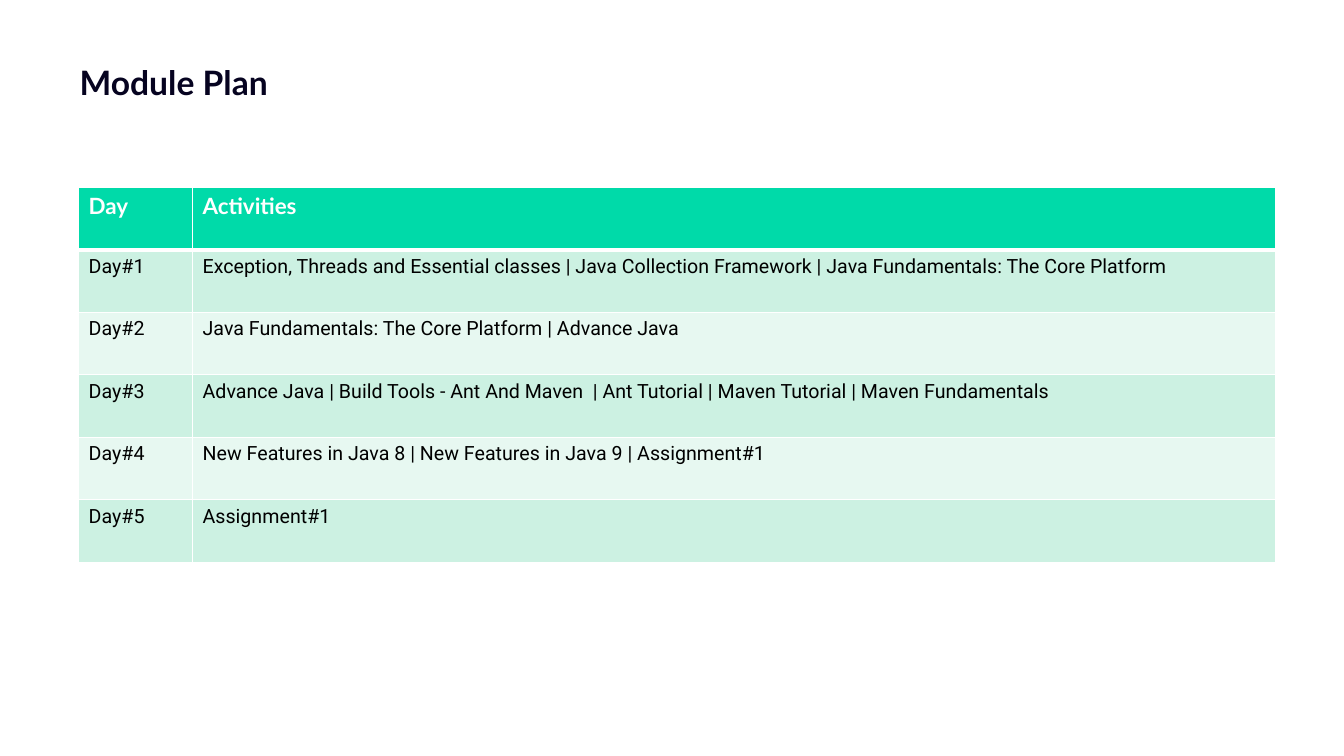
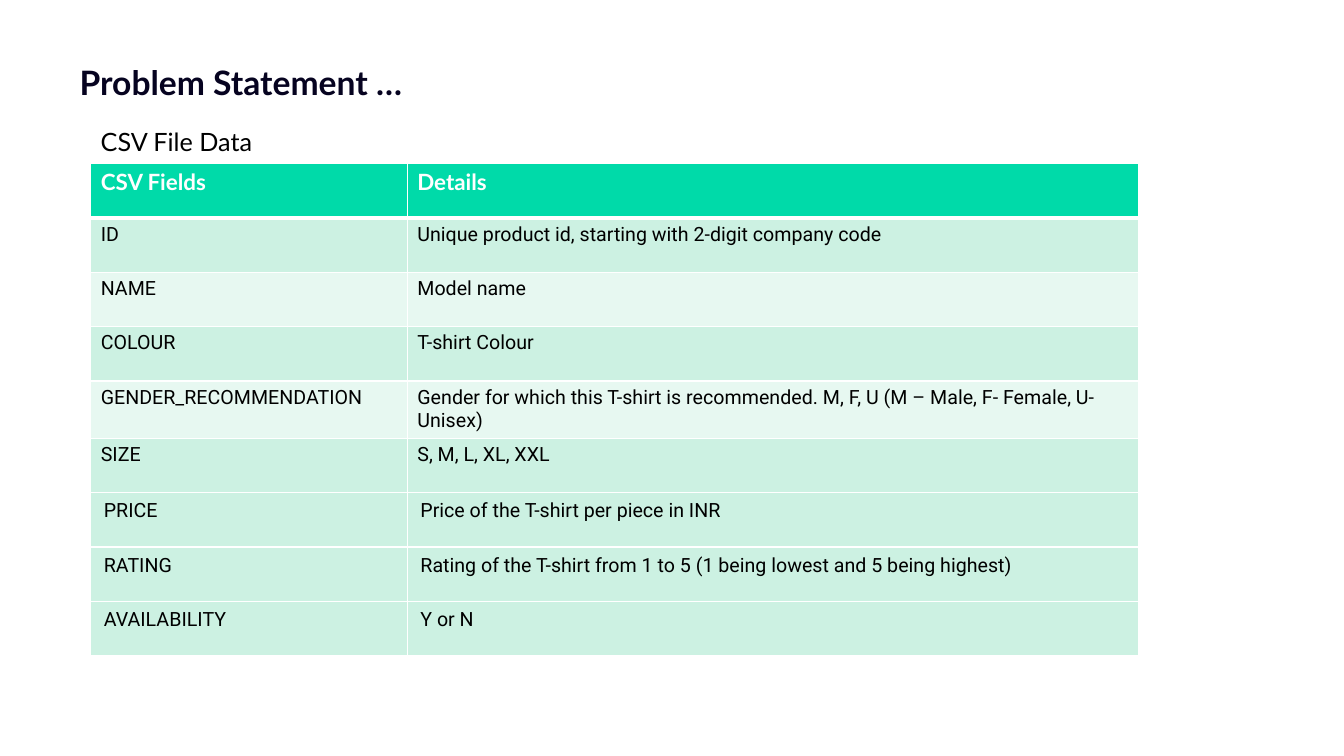
import dataclasses

import lxml.etree
import pptx
import pptx.dml.color
import pptx.enum.text
import pptx.oxml.ns
import pptx.util

Inches = pptx.util.Inches


@dataclasses.dataclass(frozen=True)
class Theme:
    title_color: str = "060320"
    text_color: str = "000000"
    white: str = "FFFFFF"
    header_fill: str = "00DAA9"
    dark_band: str = "CCF1E2"
    light_band: str = "E7F8F1"
    heading_font: str = "Lato"
    body_font: str = "Roboto"
    title_size: int = 24
    caption_size: int = 18
    header_size: int = 16
    body_size: int = 14
    thin_border: int = 1
    header_border: int = 3


THEME = Theme()
TITLE_BOX = (0.69, 0.53, 7.87, 0.53)
ROOMY_MARGINS = (0.13, 0.07, 0.13, 0.07)

PLAN_ROWS = [
    ("Day", "Activities"),
    ("Day#1", "Exception, Threads and Essential classes | Java Collection Framework"
              " | Java Fundamentals: The Core Platform"),
    ("Day#2", "Java Fundamentals: The Core Platform | Advance Java"),
    ("Day#3", "Advance Java | Build Tools - Ant And Maven  | Ant Tutorial"
              " | Maven Tutorial | Maven Fundamentals"),
    ("Day#4", "New Features in Java 8 | New Features in Java 9 | Assignment#1"),
    ("Day#5", "Assignment#1"),
]
FIELD_ROWS = [
    ("CSV Fields", "Details"),
    ("ID", "Unique product id, starting with 2-digit company code"),
    ("NAME", "Model name"),
    ("COLOUR", "T-shirt Colour"),
    ("GENDER_RECOMMENDATION", "Gender for which this T-shirt is recommended. "
                              "M, F, U (M – Male, F- Female, U-Unisex)"),
    ("SIZE", "S, M, L, XL, XXL"),
    ("PRICE", "Price of the T-shirt per piece in INR"),
    ("RATING", "Rating of the T-shirt from 1 to 5 (1 being lowest and 5 being highest)"),
    ("AVAILABILITY", "Y or N"),
]


def rgb(color):
    return pptx.dml.color.RGBColor.from_string(color)


def write(frame, text, font, size, color, bold=False):
    frame.text = text
    para = frame.paragraphs[0]
    para.alignment = pptx.enum.text.PP_ALIGN.LEFT
    para.font.name = font
    para.font.size = pptx.util.Pt(size)
    para.font.bold = bold
    para.font.color.rgb = rgb(color)


def set_margins(target, margins):
    """Set left, top, right and bottom margins of a text frame or cell."""
    for side, margin in zip(("left", "top", "right", "bottom"), margins):
        setattr(target, f"margin_{side}", Inches(margin))


def set_borders(cell, top, bottom):
    """Draw white borders; the schema wants them ahead of the cell fill."""
    widths = {"lnL": THEME.thin_border, "lnR": THEME.thin_border,
              "lnT": top, "lnB": bottom}
    properties = cell._tc.get_or_add_tcPr()
    for index, (tag, width) in enumerate(widths.items()):
        line = lxml.etree.Element(pptx.oxml.ns.qn(f"a:{tag}"), w=str(pptx.util.Pt(width)))
        fill = lxml.etree.SubElement(line, pptx.oxml.ns.qn("a:solidFill"))
        lxml.etree.SubElement(fill, pptx.oxml.ns.qn("a:srgbClr"), val=THEME.white)
        properties.insert(index, line)


def add_page(deck, title):
    """Add a slide with the shared title style."""
    page = deck.slides.add_slide(deck.slide_layouts.get_by_name("Title Only"))
    box = page.shapes.title
    box.left, box.top, box.width, box.height = map(Inches, TITLE_BOX)
    frame = box.text_frame
    write(frame, title, THEME.heading_font, THEME.title_size, THEME.title_color, bold=True)
    set_margins(frame, (0.1, 0.08, 0.1, 0.05))
    frame.vertical_anchor = pptx.enum.text.MSO_ANCHOR.TOP
    frame.auto_size = pptx.enum.text.MSO_AUTO_SIZE.SHAPE_TO_FIT_TEXT
    return page


def add_caption(page, box, text):
    caption = page.shapes.add_textbox(*map(Inches, box))
    frame = caption.text_frame
    frame.word_wrap = True
    frame.auto_size = pptx.enum.text.MSO_AUTO_SIZE.SHAPE_TO_FIT_TEXT
    write(frame, text, THEME.heading_font, THEME.caption_size, THEME.text_color)


def add_banded_table(page, box, rows, first_width, heights, roomy_from=None):
    """Fill a two-column table; rows from roomy_from on are roomy and unbanded."""
    table = page.shapes.add_table(len(rows), 2, *map(Inches, box)).table
    table.columns[0].width = Inches(first_width)
    table.columns[1].width = Inches(box[2] - first_width)
    for index, (texts, height) in enumerate(zip(rows, heights)):
        table.rows[index].height = Inches(height)
        header = index == 0
        roomy = roomy_from is not None and index >= roomy_from
        if header:
            fill = THEME.header_fill
            style = (THEME.heading_font, THEME.header_size, THEME.white, True)
        else:
            fill = THEME.dark_band if roomy or index % 2 else THEME.light_band
            style = (THEME.body_font, THEME.body_size, THEME.text_color)
        for cell, text in zip(table.rows[index].cells, texts):
            write(cell.text_frame, text, *style)
            cell.fill.solid()
            cell.fill.fore_color.rgb = rgb(fill)
            if roomy:
                set_margins(cell, ROOMY_MARGINS)
            set_borders(cell,
                        top=THEME.header_border if index == 1 else THEME.thin_border,
                        bottom=THEME.header_border if header else THEME.thin_border)


def build_plan(deck):
    page = add_page(deck, "Module Plan")
    add_banded_table(page, (0.78, 1.86, 11.87, 3.71), PLAN_ROWS, 1.13,
                     [0.62] * len(PLAN_ROWS))


def build_problem(deck):
    page = add_page(deck, "Problem Statement …")
    # The row whose details wrap is slightly taller
    heights = [0.56 if name == "GENDER_RECOMMENDATION" else 0.54 for name, _ in FIELD_ROWS]
    left, top, width = 0.9, 1.62, 10.39
    add_banded_table(page, (left, top, width, sum(heights)), FIELD_ROWS, 3.14,
                     heights, roomy_from=6)
    add_caption(page, (left, top - 0.42, 3.95, 0.4), "CSV File Data")


def main():
    deck = pptx.Presentation()
    deck.slide_width, deck.slide_height = Inches(13.33), Inches(7.5)
    build_plan(deck)
    build_problem(deck)
    deck.save("out.pptx")


if __name__ == "__main__":
    main()
